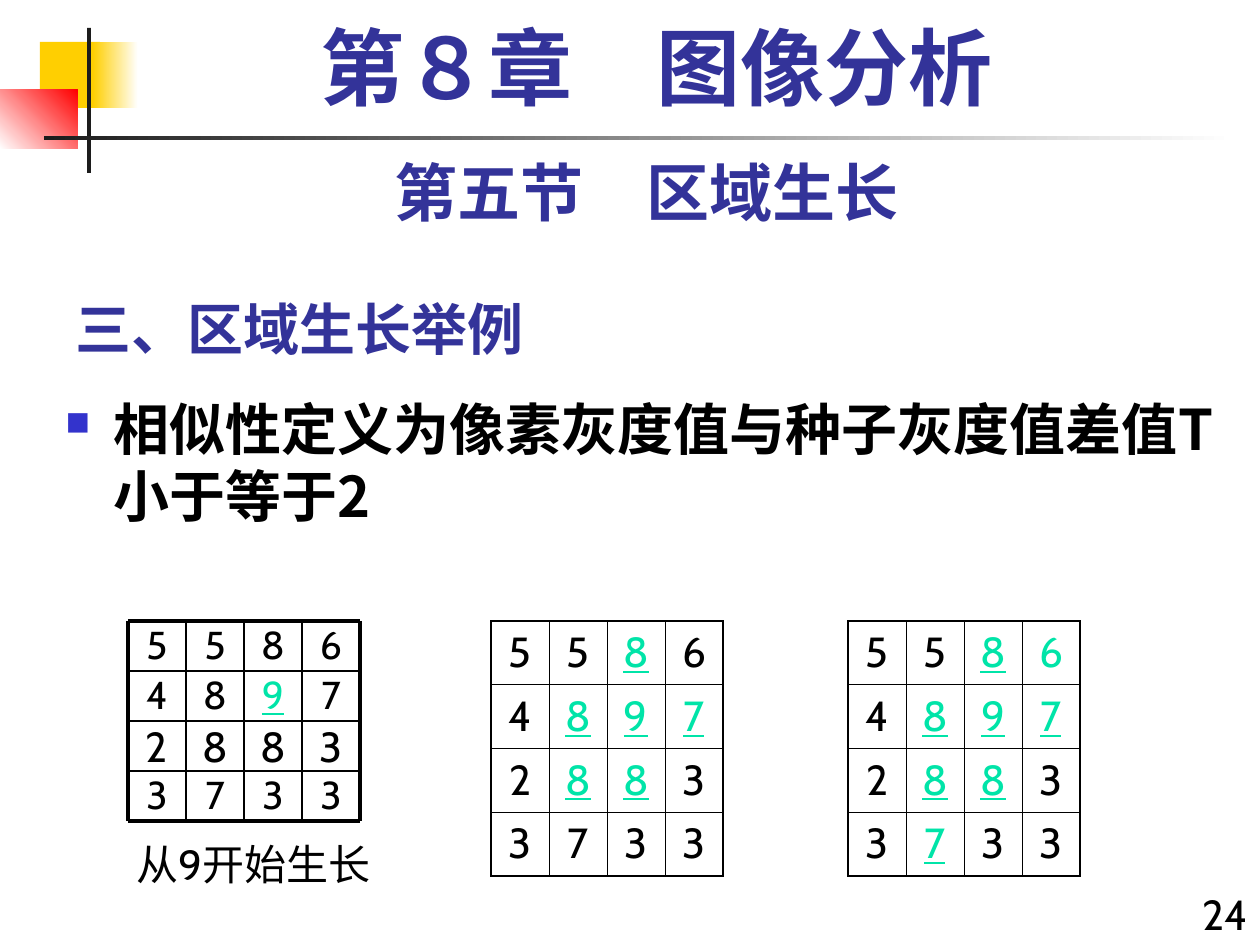
from lxml import etree
from pptx import Presentation
from pptx.dml.color import RGBColor as RGB
from pptx.enum.shapes import MSO_CONNECTOR as LINK, MSO_SHAPE as KIND
from pptx.enum.text import MSO_ANCHOR as ANCHOR, MSO_AUTO_SIZE as FIT, PP_ALIGN as ALIGN
from pptx.oxml.ns import qn
from pptx.util import Emu, Pt

SCALE = 914400 / 126
HAN, SANS, SERIF = "Noto Sans CJK SC", "Cabin", "Times New Roman"
BLACK, INK, NAVY, GREEN = "000000", "1C1C1C", "333399", "00E4A8"
GOLD, RED, WHITE, BLUE = "FFCF01", "FF0000", "FFFFFF", "3333CC"
CELL_W, CELL_H, TOP = 58, 50, 621

# "_" marks a pixel in the region, "*" one that is only coloured
SEED = ["5 5 8 6", "4 8 9_ 7", "2 8 8 3", "3 7 3 3"]
STEP = ["5 5 8_ 6", "4 8_ 9_ 7_", "2 8_ 8_ 3", "3 7 3 3"]
LAST = ["5 5 8_ 6*", "4 8_ 9_ 7_", "2 8_ 8_ 3", "3 7_ 3 3"]


def px(*nums):
    return [Emu(round(n * SCALE)) for n in nums]


def paint(color, code):
    color.rgb = RGB.from_string(code)


def put(obj, vals):
    for key, val in vals.items():
        setattr(obj, key, val)


def sub(top, tag, **vals):
    return etree.SubElement(top, qn(tag), vals)


def bar(slide, box, first, last=None, angle=0):
    shape = slide.shapes.add_shape(KIND.RECTANGLE, *px(*box))
    shape.shadow.inherit = False
    shape.line.fill.background()
    fill = shape.fill
    if last is None:
        fill.solid()
        paint(fill.fore_color, first)
        return
    fill.gradient()
    fill.gradient_angle = angle
    for stop, code in zip(fill.gradient_stops, (first, last)):
        paint(stop.color, code)


def write(frame, text, size, face=SANS, code=BLACK, align=ALIGN.LEFT, **more):
    para = frame.paragraphs[0]
    para.alignment = align
    run = para.add_run()
    run.text = text
    put(run.font, {"size": Pt(size), "name": face, **more})
    paint(run.font.color, code)
    sub(run.font._element, "a:ea", typeface=HAN)
    return para


def label(shapes, box, text, size, pad=True, **more):
    frame = shapes.add_textbox(*px(*box)).text_frame
    put(frame, {"word_wrap": True, "auto_size": FIT.NONE})
    if not pad:
        sides = ("left", "top", "right", "bottom")
        put(frame, {f"margin_{side}": 0 for side in sides})
    return write(frame, text, size, **more)


def bullet(para):
    props = para._p.get_or_add_pPr()
    hang = px(48)[0]
    props.set("marL", str(hang))
    props.set("indent", str(-hang))
    sub(sub(props, "a:buClr"), "a:srgbClr", val=BLUE)
    sub(props, "a:buSzPct", val="60000")
    sub(props, "a:buChar", char="■")


def parse_cell(mark):
    code = GREEN if len(mark) > 1 else BLACK
    return mark[0], {"code": code, "underline": mark.endswith("_")}


def rule(shapes, ends, width):
    line = shapes.add_connector(LINK.STRAIGHT, *px(*ends))
    line.line.width = Pt(width)
    paint(line.line.color, BLACK)
    sub(line._element.spPr, "a:effectLst")


def grid(slide, left, rows):
    shapes = slide.shapes.add_group_shape().shapes
    for r, row in enumerate(rows):
        size = 24 if r == 2 else 22.2
        for c, mark in enumerate(row.split()):
            text, look = parse_cell(mark)
            box = (left + c * CELL_W, TOP + r * CELL_H, CELL_W, CELL_H)
            label(shapes, box, text, size, pad=False, align=ALIGN.CENTER, **look)
    count = len(rows)
    right, base = left + count * CELL_W, TOP + count * CELL_H
    for n in range(count + 1):
        width = 2.25 if n in (0, count) else 1
        x, y = left + n * CELL_W, TOP + n * CELL_H
        rule(shapes, (left, y, right, y), width)
        rule(shapes, (x, TOP, x, base), width)
    label(shapes, (117, 832, 273, 113), "从9开始生长", 24, align=ALIGN.CENTER)


def edge(cell, outer):
    props = cell._tc.get_or_add_tcPr()
    for side, thick in zip("LRTB", outer):
        line = sub(props, f"a:ln{side}", w=str(Pt(1.08 if thick else 0.45)))
        sub(sub(line, "a:solidFill"), "a:srgbClr", val=BLACK)


def table(slide, left, rows):
    count = len(rows)
    box = px(left, TOP, count * CELL_W, count * CELL_H)
    tab = slide.shapes.add_table(count, count, *box).table
    put(tab, {"first_row": False, "horz_banding": False})
    for r, row in enumerate(rows):
        for c, mark in enumerate(row.split()):
            cell = tab.cell(r, c)
            text, look = parse_cell(mark)
            write(cell.text_frame, text, 24, align=ALIGN.CENTER, **look)
            edge(cell, (c == 0, c == count - 1, r == 0, r == count - 1))
            cell.fill.background()


def main():
    deck = Presentation()
    deck.slide_width, deck.slide_height = px(1260, 945)
    slide = deck.slides.add_slide(deck.slide_layouts[5])

    # Corner blocks and rules
    bar(slide, (40, 42, 60, 66), GOLD)
    bar(slide, (93, 42, 45, 66), GOLD, WHITE)
    bar(slide, (0, 90, 78, 59), WHITE, RED, 45)
    bar(slide, (87, 28, 4, 145), INK)
    bar(slide, (44, 136, 1191, 4), INK, WHITE)

    # Title
    title = slide.shapes.title
    put(title, dict(zip(("left", "top", "width", "height"), px(63, 273, 775, 95))))
    put(title.text_frame, {"vertical_anchor": ANCHOR.BOTTOM, "auto_size": FIT.NONE,
                           "word_wrap": True})
    write(title.text_frame, "三、区域生长举例", 32, HAN, NAVY, bold=True)

    # Chapter, section, rule of growth and page number
    head = {"code": NAVY, "align": ALIGN.CENTER, "bold": True}
    para = label(slide.shapes, (84, 21, 1145, 105), "第８章　图像分析", 48,
                 face=SERIF, **head)
    para.line_spacing = 0.9
    label(slide.shapes, (63, 147, 1166, 88), "第五节　区域生长", 36, **head)
    para = label(slide.shapes, (53, 388, 1207, 200),
                 "相似性定义为像素灰度值与种子灰度值差值T小于等于2", 32,
                 face=HAN, bold=True)
    bullet(para)
    label(slide.shapes, (1176, 882, 84, 63), "24", 24, align=ALIGN.RIGHT)

    # Region growing in three steps
    grid(slide, 128, SEED)
    table(slide, 491, STEP)
    table(slide, 848, LAST)

    deck.save("out.pptx")


if __name__ == "__main__":
    main()
